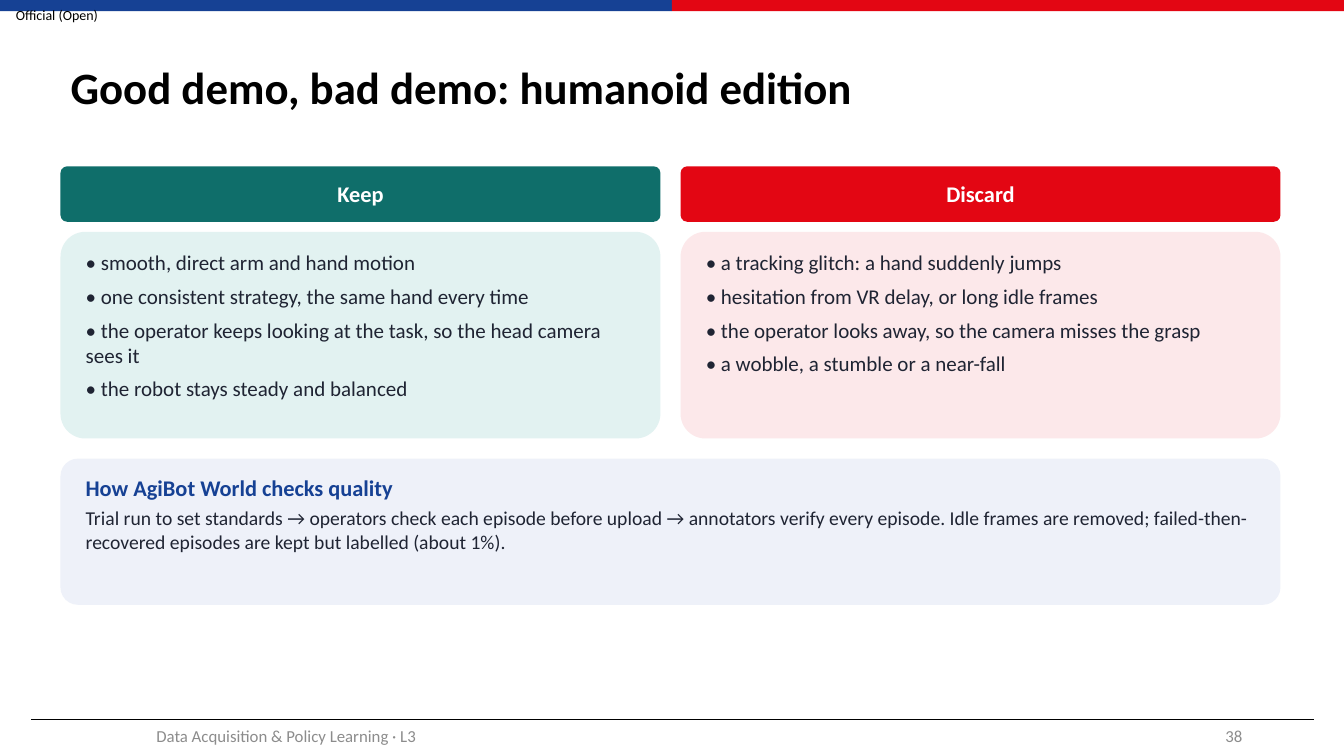
from dataclasses import dataclass

from lxml.etree import SubElement
from pptx import Presentation
from pptx.dml.color import RGBColor
from pptx.enum.shapes import MSO_CONNECTOR, MSO_SHAPE
from pptx.enum.text import MSO_ANCHOR, MSO_AUTO_SIZE, PP_ALIGN
from pptx.oxml.ns import qn
from pptx.shapes.autoshape import Shape
from pptx.slide import Slide
from pptx.text.text import TextFrame
from pptx.util import Inches, Length, Pt

CELL = 0.05
WIDE, HIGH = 13.33 / CELL, 7.5 / CELL
LEFT, SPAN, GAP = 12, 242, 4
HALF = (SPAN - GAP) / 2
PAD = 5
HEX = {
    "blue": "164194",
    "red": "E30613",
    "teal": "0F6E6A",
    "mint": "E2F2F1",
    "pink": "FCE8EA",
    "pale": "EEF1F9",
    "ink": "1F2433",
    "grey": "8C8C8C",
    "black": "000000",
    "white": "FFFFFF",
}


@dataclass(frozen=True)
class Box:
    col: float
    row: float
    cols: float
    rows: float

    def place(self) -> tuple[Length, ...]:
        return tuple(map(grid, (self.col, self.row, self.cols, self.rows)))


@dataclass(frozen=True)
class Line:
    text: str
    size: int
    color: str = "ink"
    bold: bool = False
    align: PP_ALIGN = PP_ALIGN.LEFT
    after: int = 0


@dataclass(frozen=True)
class Card:
    head: str
    dark: str
    light: str
    items: tuple[str, ...]


@dataclass(frozen=True)
class Label:
    box: Box
    line: Line
    inset: float


CARDS = (
    Card("Keep", "teal", "mint", (
        "smooth, direct arm and hand motion",
        "one consistent strategy, the same hand every time",
        "the operator keeps looking at the task, so the head camera sees it",
        "the robot stays steady and balanced",
    )),
    Card("Discard", "red", "pink", (
        "a tracking glitch: a hand suddenly jumps",
        "hesitation from VR delay, or long idle frames",
        "the operator looks away, so the camera misses the grasp",
        "a wobble, a stumble or a near-fall",
    )),
)
CHECKS = (
    Line("How AgiBot World checks quality", 16, "blue", True, after=4),
    Line("Trial run to set standards → operators check each episode before upload "
         "→ annotators verify every episode. Idle frames are removed; "
         "failed-then-recovered episodes are kept but labelled (about 1%).", 14),
)
LABELS = (
    Label(Box(0, 0, 22.6, 5.8),
          Line("Official (Open)", 10, "black", align=PP_ALIGN.CENTER), 0),
    Label(Box(11.8, 142, 90, 8),
          Line("Data Acquisition & Policy Learning · L3", 12, "grey",
               align=PP_ALIGN.CENTER), 0.1),
    Label(Box(188.4, 142, 60, 8),
          Line("38", 12, "grey", align=PP_ALIGN.RIGHT), 0.1),
)


def grid(cells: float) -> Length:
    return Inches(cells * CELL)


def tint(name: str) -> RGBColor:
    return RGBColor.from_string(HEX[name])


def write(frame: TextFrame, lines: tuple[Line, ...],
          anchor: MSO_ANCHOR = MSO_ANCHOR.MIDDLE) -> None:
    frame.word_wrap = True
    frame.auto_size = MSO_AUTO_SIZE.NONE
    frame.vertical_anchor = anchor
    for index, line in enumerate(lines):
        para = frame.paragraphs[0] if index == 0 else frame.add_paragraph()
        para.text = line.text
        para.alignment = line.align
        para.space_after = Pt(line.after)
        para.font.name = "Calibri"
        para.font.size = Pt(line.size)
        para.font.bold = line.bold
        para.font.color.rgb = tint(line.color)


def inset(frame: TextFrame, side: float, edge: float) -> None:
    frame.margin_left = frame.margin_right = Inches(side)
    frame.margin_top = frame.margin_bottom = Inches(edge)


def add_panel(slide: Slide, box: Box, color: str,
              kind: MSO_SHAPE = MSO_SHAPE.ROUNDED_RECTANGLE) -> Shape:
    panel = slide.shapes.add_shape(kind, *box.place())
    panel.shadow.inherit = False
    panel.fill.solid()
    panel.fill.fore_color.rgb = tint(color)
    panel.line.fill.background()
    if kind == MSO_SHAPE.ROUNDED_RECTANGLE:
        panel.adjustments[0] = 0.12
    return panel


def add_text(slide: Slide, box: Box, lines: tuple[Line, ...]) -> None:
    frame = slide.shapes.add_textbox(*box.place()).text_frame
    inset(frame, 0, 0)
    write(frame, lines, MSO_ANCHOR.TOP)


def add_label(slide: Slide, label: Label) -> None:
    frame = slide.shapes.add_textbox(*label.box.place()).text_frame
    inset(frame, label.inset, label.inset / 2)
    write(frame, (label.line,))


def add_card(slide: Slide, card: Card, col: float) -> None:
    head = add_panel(slide, Box(col, 33, HALF, 11), card.dark)
    inset(head.text_frame, 0.12, 0.06)
    write(head.text_frame,
          (Line(card.head, 16, "white", True, PP_ALIGN.CENTER),))
    add_panel(slide, Box(col, 46, HALF, 41), card.light)
    add_text(slide, Box(col + PAD, 49.6, HALF - 2 * PAD, 44),
             tuple(Line(f"• {item}", 15, after=6) for item in card.items))


def add_rule(slide: Slide, start: float, end: float, row: float) -> None:
    rule = slide.shapes.add_connector(
        MSO_CONNECTOR.STRAIGHT, grid(start), grid(row), grid(end), grid(row))
    rule.line.color.rgb = tint("black")
    rule.line.width = Pt(0.5)
    SubElement(rule.element.spPr, qn("a:effectLst"))


def add_title(slide: Slide, text: str) -> None:
    title = slide.shapes.title
    title.left, title.top, title.width, title.height = Box(
        LEFT, 6, 241.6, 23.6).place()
    write(title.text_frame, (Line(text, 32, "black", True),))
    title.text_frame.paragraphs[0].line_spacing = 0.9


def main() -> None:
    deck = Presentation()
    deck.slide_width, deck.slide_height = grid(WIDE), grid(HIGH)
    slide = deck.slides.add_slide(deck.slide_layouts[5])
    for index, color in enumerate(("blue", "red")):
        add_panel(slide, Box(index * WIDE / 2, 0, WIDE / 2, 2.2), color,
                  MSO_SHAPE.RECTANGLE)
    add_rule(slide, 6.2, 260.6, 142.8)
    add_title(slide, "Good demo, bad demo: humanoid edition")
    for index, card in enumerate(CARDS):
        add_card(slide, card, LEFT + index * (HALF + GAP))
    add_panel(slide, Box(LEFT, 91, SPAN, 29), "pale")
    add_text(slide, Box(LEFT + PAD, 94, SPAN - 2 * PAD, 24), CHECKS)
    for label in LABELS:
        add_label(slide, label)
    deck.save("out.pptx")


if __name__ == "__main__":
    main()
